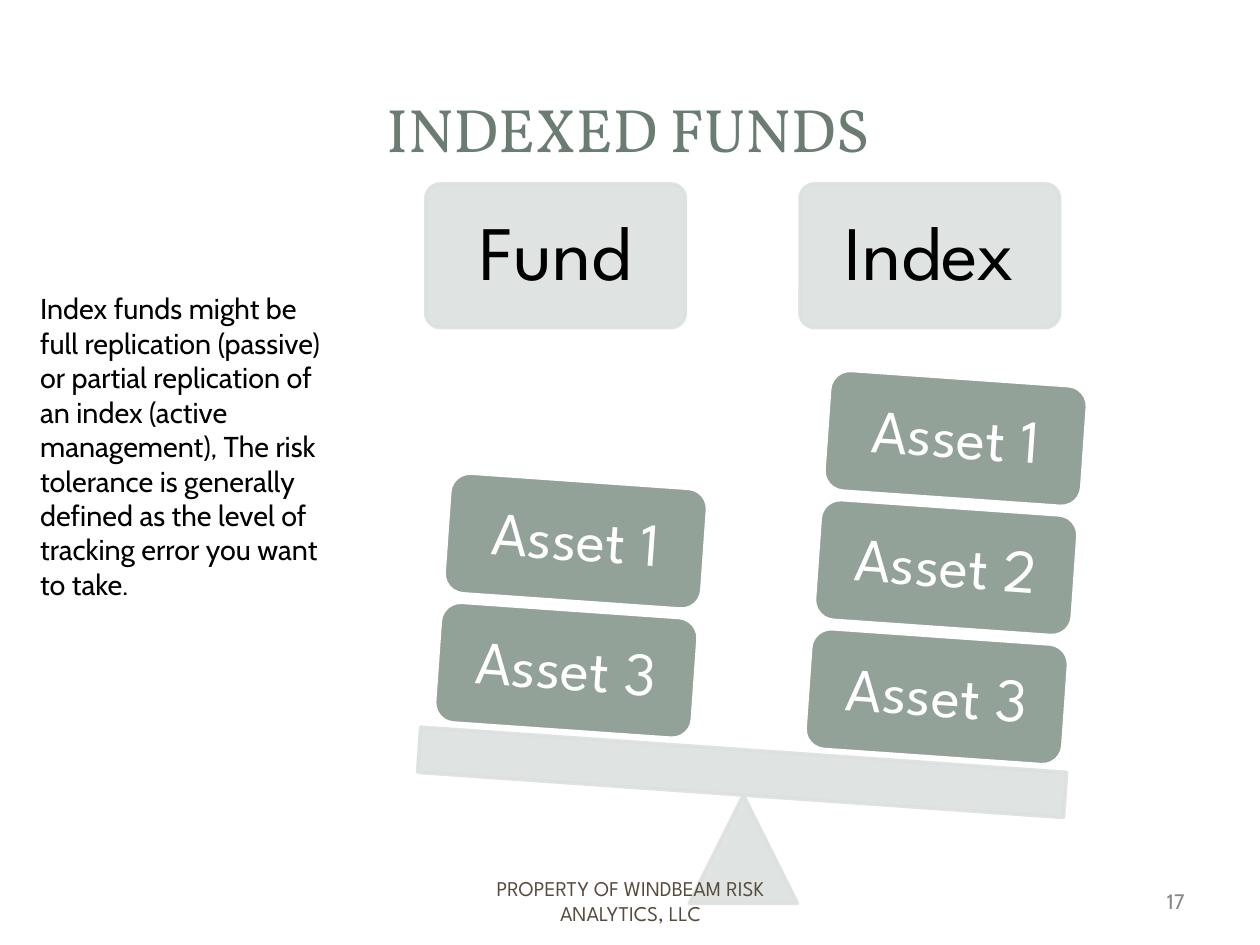
from dataclasses import dataclass
from lxml.etree import SubElement
from pptx import Presentation
from pptx.dml.color import RGBColor
from pptx.enum.shapes import MSO_SHAPE
from pptx.enum.text import MSO_ANCHOR, PP_ALIGN
from pptx.oxml.ns import qn
from pptx.util import Inches, Pt


def rgb(value):
    return RGBColor.from_string(value)


def set_alpha(fill_format, percent):
    for color in fill_format._xPr.iter(qn("a:srgbClr")):
        if color.find(qn("a:alpha")) is None:
            SubElement(color, qn("a:alpha"), val=str(percent * 1000))


def write(tf, text, size, font, color, align=PP_ALIGN.CENTER,
          anchor=MSO_ANCHOR.MIDDLE, spacing=None, inset=None):
    tf.word_wrap = True
    tf.vertical_anchor = anchor
    if inset is not None:
        tf.margin_left = tf.margin_right = Inches(inset)
        tf.margin_top = tf.margin_bottom = Inches(inset)
    p = tf.paragraphs[0]
    p.alignment = align
    p.line_spacing = spacing
    r = p.add_run()
    r.text = text
    r.font.size = Pt(size)
    r.font.name = font
    r.font.color.rgb = rgb(color)


@dataclass
class Deck:
    prs: object
    s: object = None
    columns: int = 100
    rows: int = 75
    heading: str = "Vollkorn"
    body: str = "Cabin"
    label: str = "League Spartan"
    pale: str = "DCE0DE"
    sage: str = "93A299"
    white: str = "FFFFFF"
    black: str = "000000"

    def add_slide(self):
        self.s = self.prs.slides.add_slide(self.prs.slide_layouts[6])

    def box(self, x, y, w, h):
        dx = self.prs.slide_width / self.columns
        dy = self.prs.slide_height / self.rows
        return [round(v) for v in (x * dx, y * dy, w * dx, h * dy)]

    def text(self, at, text, size, font, color, **fmt):
        sp = self.s.shapes.add_textbox(*self.box(*at))
        write(sp.text_frame, text, size, font, color, **fmt)

    def shape(self, kind, at, fill, line, rotation=0):
        sp = self.s.shapes.add_shape(kind, *self.box(*at))
        sp.shadow.inherit = False
        sp.rotation = rotation
        sp.fill.solid()
        sp.fill.fore_color.rgb = rgb(fill)
        sp.line.color.rgb = rgb(line)
        sp.line.width = Pt(2)
        return sp

    def pale_shape(self, kind, at, rotation=0):
        sp = self.shape(kind, at, self.pale, self.pale, rotation)
        set_alpha(sp.fill, 90)
        return sp

    def header(self, at, text):
        sp = self.pale_shape(MSO_SHAPE.ROUNDED_RECTANGLE, at)
        sp.adjustments[0] = 0.1
        write(sp.text_frame, text, 44, self.label, self.black, spacing=0.9, inset=0.18)

    def stack(self, x, y, names, tilt):
        for level, name in enumerate(names):
            at = (x + 0.75 * level, y - 10.25 * level, 20.5, 9.6)
            sp = self.shape(MSO_SHAPE.ROUNDED_RECTANGLE, at, self.sage, self.white, tilt)
            write(sp.text_frame, name, 35, self.label, self.white, spacing=0.9, inset=0.15)


def main():
    prs = Presentation()
    prs.slide_width, prs.slide_height = Inches(10), Inches(7.5)
    deck = Deck(prs)
    deck.add_slide()
    tilt = 4

    deck.text((4.7, 4.5, 90.3, 11.4), "INDEXED FUNDS", 35, deck.heading, "6B7D72")
    deck.text((71.7, 69.5, 23.3, 4), "17", 12, deck.body, "898989", align=PP_ALIGN.RIGHT)

    for x, name in ((33.8, "Fund"), (63.5, "Index")):
        deck.header((x, 14.6, 20.6, 11.4), name)

    deck.pale_shape(MSO_SHAPE.ISOSCELES_TRIANGLE, (54.7, 63.1, 8.6, 8.6))
    deck.pale_shape(MSO_SHAPE.RECTANGLE, (33.2, 59.5, 51.4, 3.6), tilt)
    deck.stack(64.1, 50.5, ("Asset 3", "Asset 2", "Asset 1"), tilt)
    deck.stack(34.7, 48.4, ("Asset 3", "Asset 1"), tilt)

    deck.text((2.2, 22.6, 25.4, 25.8),
              "Index funds might be full replication (passive) or partial replication "
              "of an index (active management), The risk tolerance is generally defined "
              "as the level of tracking error you want to take.",
              16.4, deck.body, deck.black, align=PP_ALIGN.LEFT, anchor=MSO_ANCHOR.TOP)
    deck.text((34.2, 69.5, 31.7, 4), "PROPERTY OF WINDBEAM RISK ANALYTICS, LLC",
              12, deck.label, "564B3C")

    prs.save("out.pptx")


if __name__ == "__main__":
    main()
